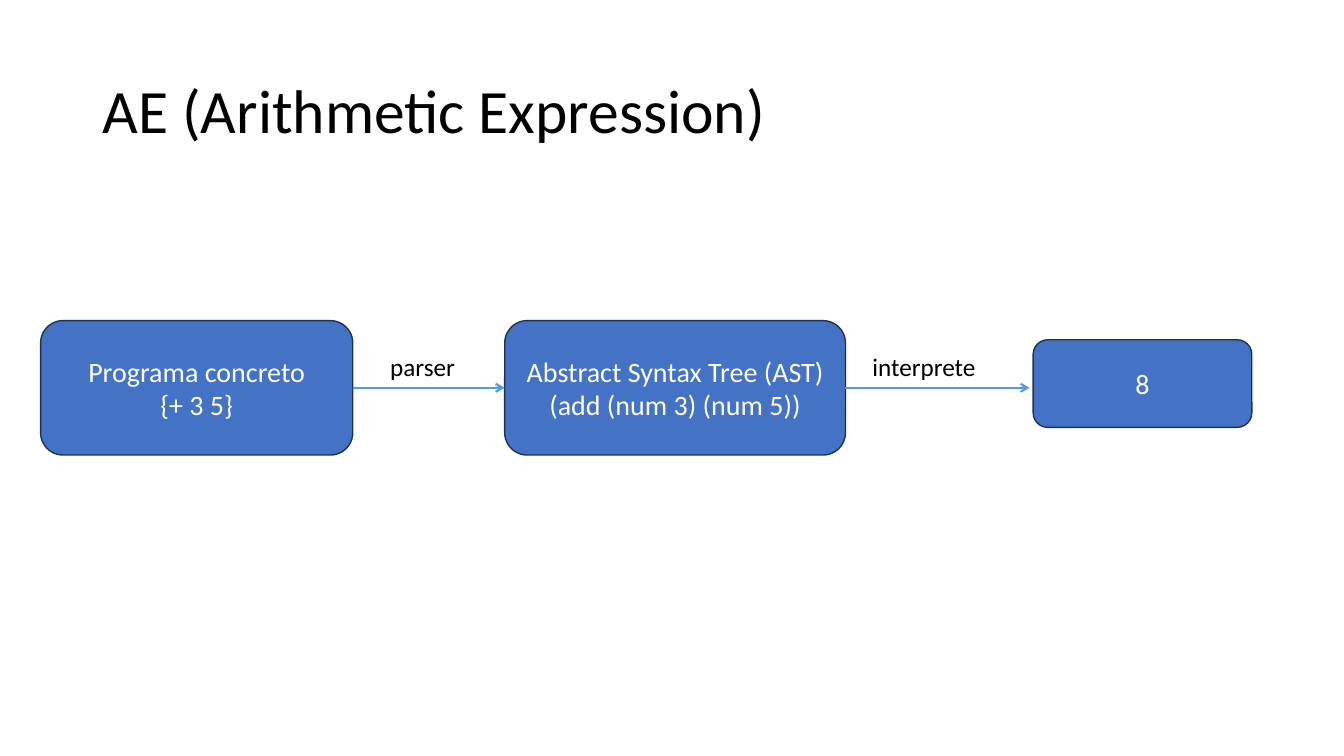
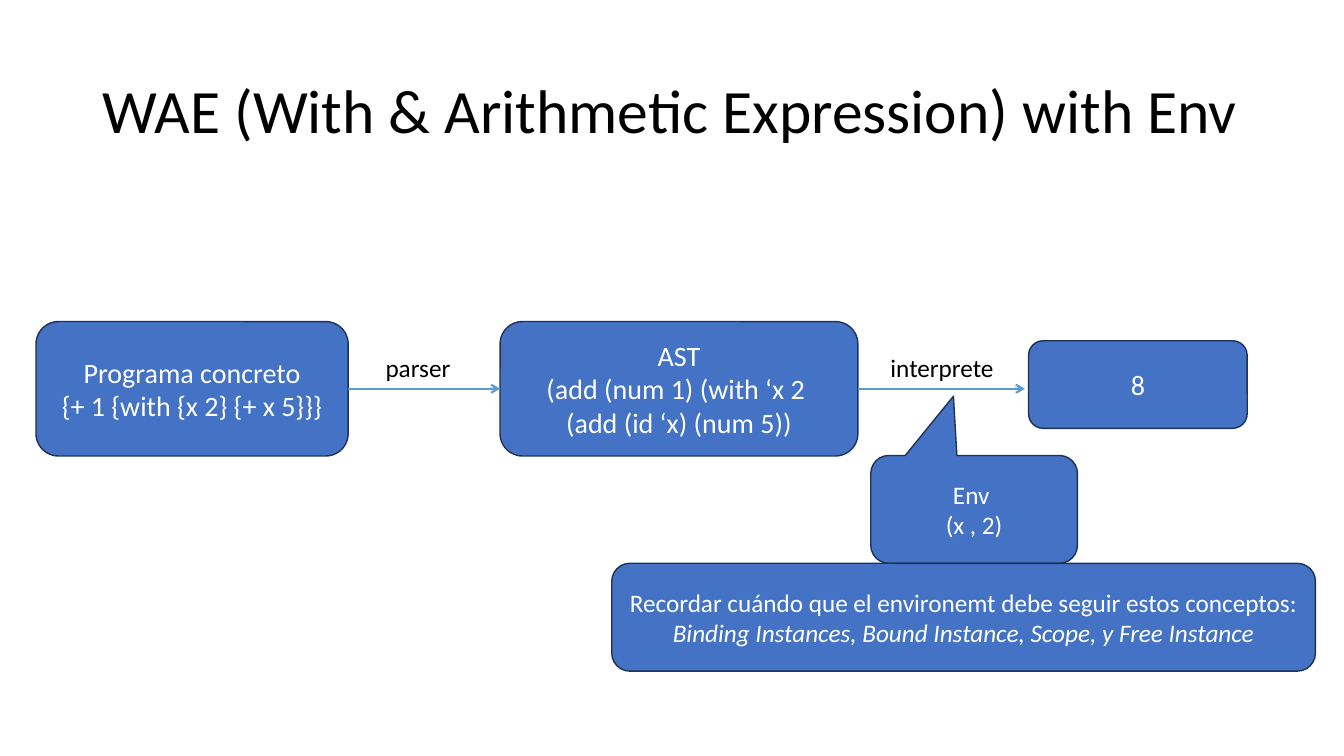
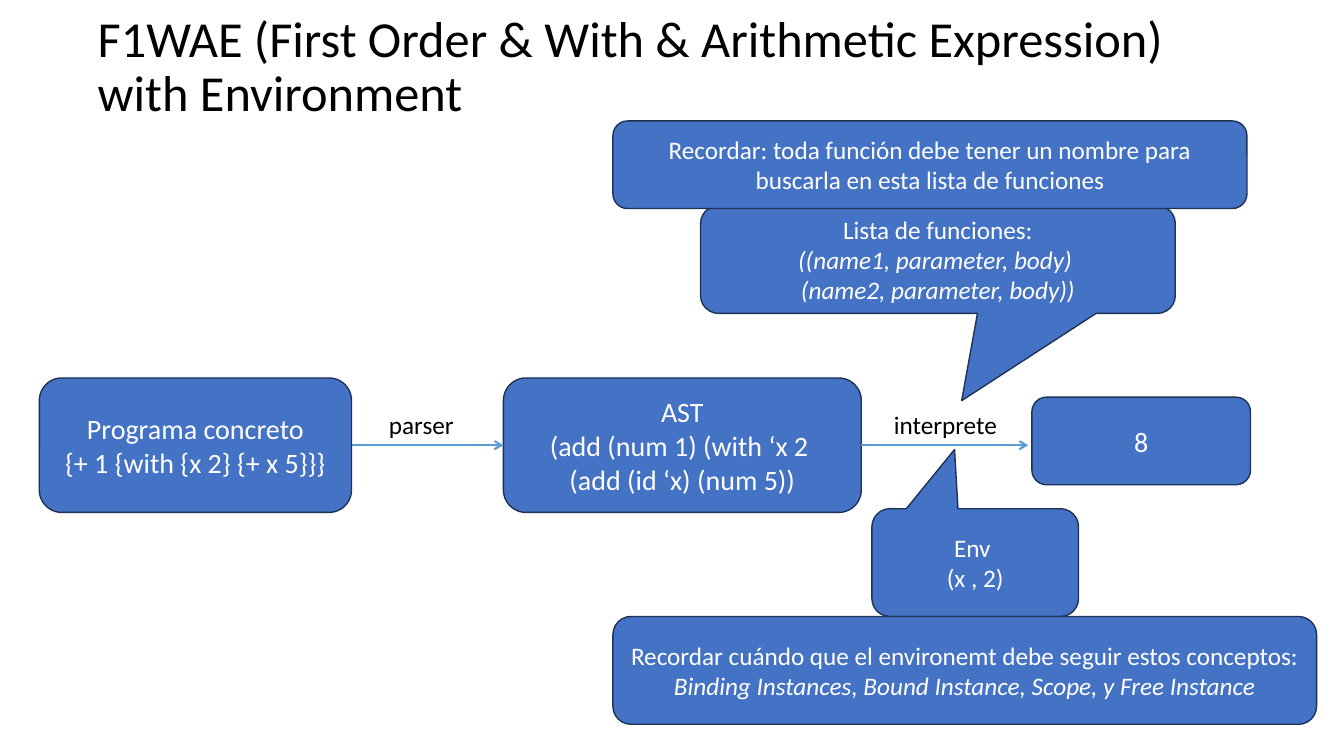
import dataclasses
import pptx
import pptx.util
import pptx.dml.color
import pptx.enum.shapes
import pptx.enum.text
import pptx.oxml.ns
from lxml import etree

Pt = pptx.util.Pt
RGB = pptx.dml.color.RGBColor.from_string
Kind = pptx.enum.shapes.MSO_SHAPE
Align = pptx.enum.text.PP_ALIGN
Anchor = pptx.enum.text.MSO_ANCHOR
Fit = pptx.enum.text.MSO_AUTO_SIZE
qn = pptx.oxml.ns.qn


@dataclasses.dataclass(frozen=True)
class Theme:
    font: str = "Calibri"
    ink: str = "000000"
    pale: str = "FFFFFF"
    fill: str = "4472C4"
    edge: str = "1E3256"
    arrow: str = "5B9BD5"
    title: int = 44
    small: int = 36
    body: int = 20
    note: int = 18


LOOK = Theme()

CODE = ["Programa concreto", "{+ 1 {with {x 2} {+ x 5}}}"]
TREE = ["AST", "(add (num 1) (with ‘x 2 ", "(add (id ‘x) (num 5))"]
ENV = ["Env ", "(x , 2)"]
RULES = [
    "Recordar cuándo que el environemt debe seguir estos conceptos:",
    "Binding Instances, Bound Instance, Scope, y Free Instance",
]
FUNCS = ["Lista de funciones:", "((name1, parameter, body) ", "(name2, parameter, body))"]
NAMES = ["Recordar: toda función debe tener un nombre para buscarla en esta lista de funciones"]

TOP = (66.2, 28.8, 828, 104.4)
SLIDES = [
    {
        "title": "AE (Arithmetic Expression)", "area": TOP, "size": LOOK.title,
        "flow": {
            "left": 29, "top": 229, "wide": 243.4, "gap": 12.2,
            "code": ["Programa concreto", "{+ 3 5}"],
            "tree": ["Abstract Syntax Tree (AST)", "(add (num 3) (num 5))"],
        },
    },
    {
        "title": "WAE (With & Arithmetic Expression) with Env", "area": TOP, "size": LOOK.title,
        "flow": {"left": 25.7, "top": 229.7, "wide": 255.6, "gap": 16.2, "code": CODE, "tree": TREE},
        "env": (622, 325.4),
    },
    {
        "title": "F1WAE (First Order & With & Arithmetic Expression) with Environment",
        "area": (62.6, 10.8, 828, 75.6), "size": LOOK.small,
        "flow": {"left": 28.1, "top": 270, "wide": 255.6, "gap": 16.2, "code": CODE, "tree": TREE},
        "env": (622.8, 363.4),
        "funcs": True,
    },
]


def write(frame, lines, size=LOOK.body, color=LOOK.pale, align=Align.CENTER,
          anchor=Anchor.MIDDLE, wrap=True, fit=Fit.NONE, space=None, slant=None):
    frame.word_wrap = wrap
    frame.auto_size = fit
    frame.vertical_anchor = anchor
    para = frame.paragraphs[0]
    para.alignment = align
    para.line_spacing = space
    for num, line in enumerate(lines):
        if num:
            para.add_line_break()
        run = para.add_run()
        run.text = line
        run.font.name = LOOK.font
        run.font.size = Pt(size)
        run.font.color.rgb = RGB(color)
        if slant is not None and num >= slant:
            run.font.italic = True


def box(slide, area, lines, kind=Kind.ROUNDED_RECTANGLE, tip=None, **form):
    shape = slide.shapes.add_shape(kind, *map(Pt, area))
    shape.shadow.inherit = False
    shape.fill.solid()
    shape.fill.fore_color.rgb = RGB(LOOK.fill)
    shape.line.color.rgb = RGB(LOOK.edge)
    shape.line.width = Pt(1)
    if tip:
        shape.adjustments[0], shape.adjustments[1] = tip
    write(shape.text_frame, lines, **form)
    return shape


def label(slide, area, word):
    shape = slide.shapes.add_textbox(*map(Pt, area))
    write(shape.text_frame, [word], size=LOOK.note, color=LOOK.ink, align=Align.LEFT,
          anchor=Anchor.TOP, wrap=False, fit=Fit.SHAPE_TO_FIT_TEXT)


def arrow(slide, start, end, y, source, target=None):
    line = slide.shapes.add_connector(
        pptx.enum.shapes.MSO_CONNECTOR.STRAIGHT, Pt(start), Pt(y), Pt(end), Pt(y))
    line.begin_connect(source, 3)
    if target is not None:
        line.end_connect(target, 1)
    line.line.color.rgb = RGB(LOOK.arrow)
    line.line.width = Pt(1.5)
    props = line.element.spPr
    etree.SubElement(props.find(qn("a:ln")), qn("a:tailEnd"), type="arrow")
    etree.SubElement(props, qn("a:effectLst"))


def flow(slide, left, top, wide, gap, code, tree):
    high, first = 96, 223
    mid = top + high / 2
    start, last = left + 331.5, left + 709
    right = start + wide
    prog = box(slide, (left, top, first, high), code)
    ast = box(slide, (start, top, wide, high), tree)
    arrow(slide, left + first, start, mid, prog, ast)
    label(slide, (left + 242.6, top + 18.7, 61.2, 28.8), "parser")
    arrow(slide, right, last - 2.6, mid, ast)
    label(slide, (right + gap, top + 18.7, 89.3, 28.8), "interprete")
    box(slide, (last, top + 13.7, 156.2, 62.6), ["8"])


def funcs(slide):
    box(slide, (500.4, 146.9, 339.1, 77), FUNCS, kind=Kind.ROUNDED_RECTANGULAR_CALLOUT,
        tip=(0.05, 1.31), size=LOOK.note, slant=1)
    box(slide, (437.8, 86.4, 452.9, 62.6), NAMES, size=LOOK.note)


def scope(slide, left, top):
    high = 77
    box(slide, (left, top, 147.6, high), ENV, kind=Kind.ROUNDED_RECTANGULAR_CALLOUT,
        tip=(-0.1, -1.05), size=LOOK.note)
    box(slide, (left - 185, top + high, 502.6, high), RULES, size=LOOK.note, slant=1)


def main():
    deck = pptx.Presentation()
    deck.slide_width, deck.slide_height = Pt(960), Pt(540)
    for item in SLIDES:
        slide = deck.slides.add_slide(deck.slide_layouts[5])
        head = slide.shapes.title
        head.left, head.top, head.width, head.height = map(Pt, item["area"])
        write(head.text_frame, [item["title"]], size=item["size"], color=LOOK.ink,
              align=Align.LEFT, space=0.9)
        flow(slide, **item["flow"])
        if item.get("funcs"):
            funcs(slide)
        if "env" in item:
            scope(slide, *item["env"])
    deck.save("out.pptx")


if __name__ == "__main__":
    main()
